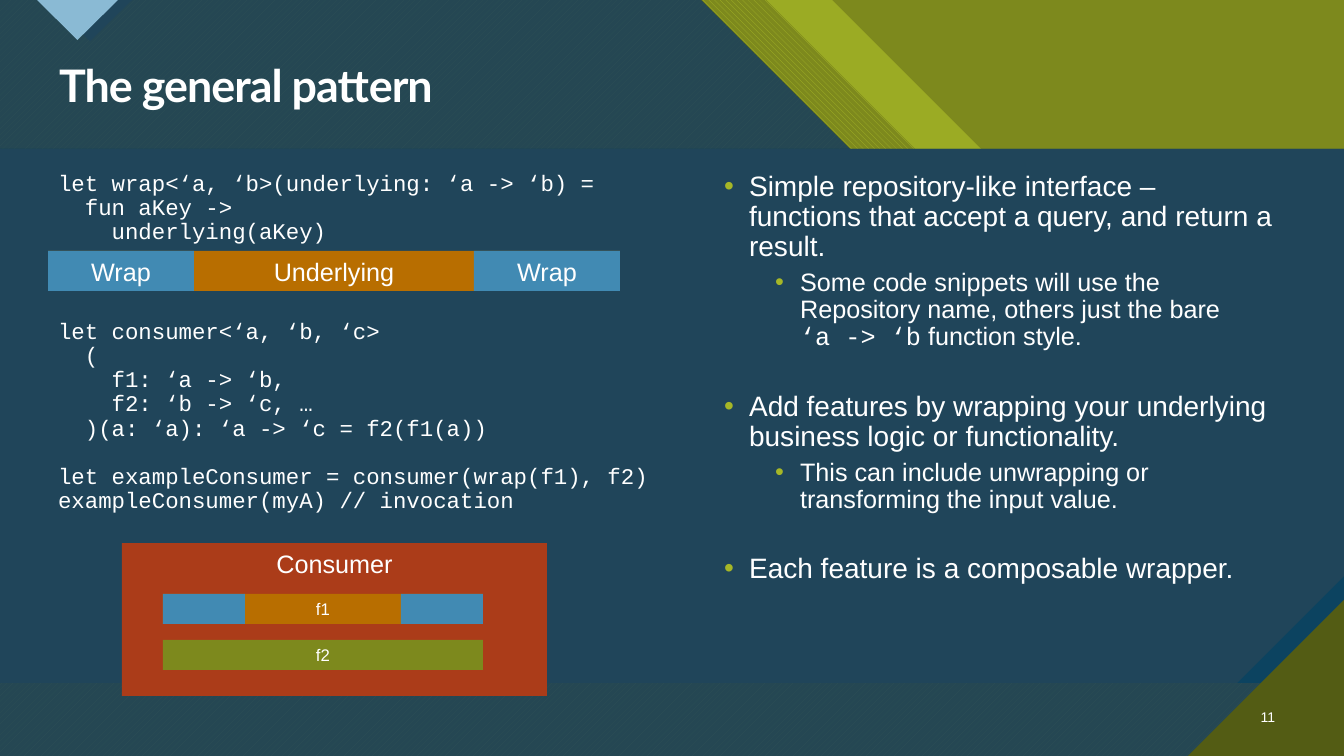
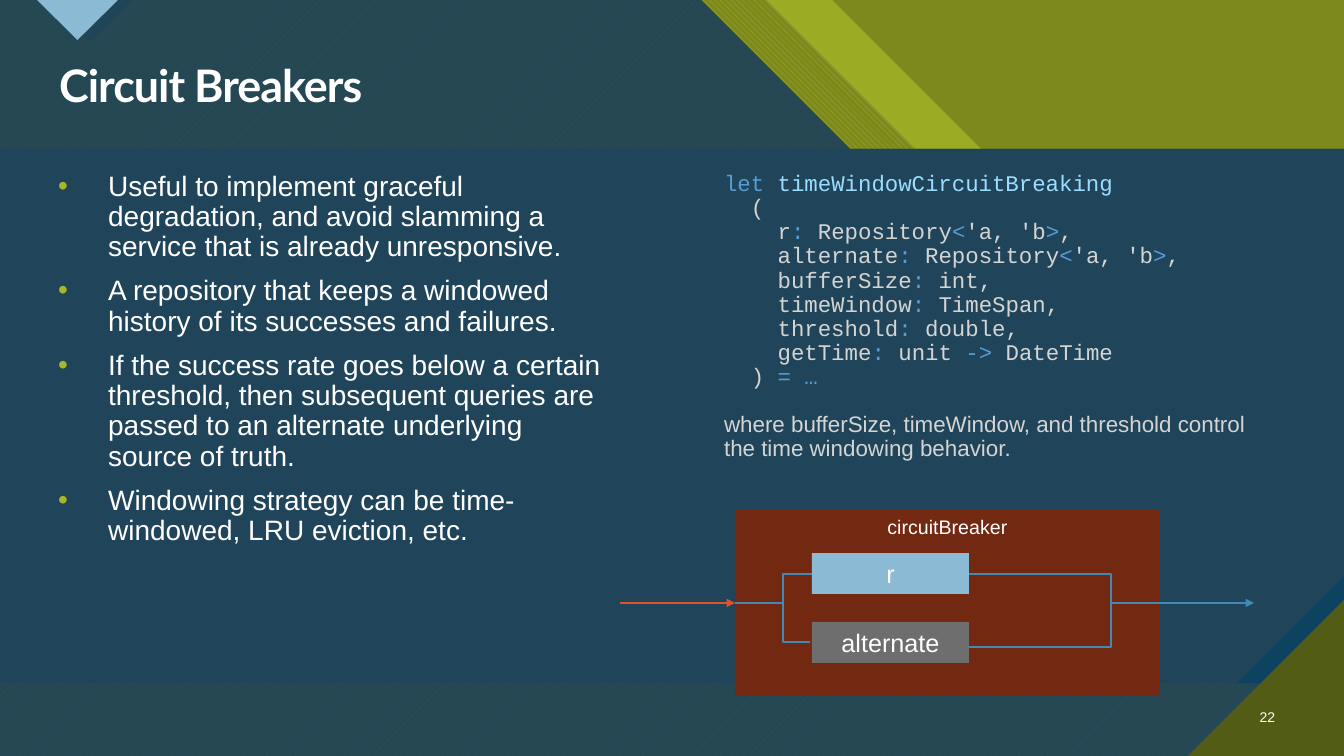
import dataclasses

import lxml.etree
import pptx
import pptx.dml.color
import pptx.enum.dml
import pptx.enum.shapes
import pptx.enum.text
import pptx.oxml.ns
import pptx.util

WIDTH, HEIGHT = 1344, 756
EMU_PER_PX = 914400 / 100.8

SHAPE = pptx.enum.shapes.MSO_SHAPE
CONNECTOR = pptx.enum.shapes.MSO_CONNECTOR
PATTERN = pptx.enum.dml.MSO_PATTERN
ALIGN = pptx.enum.text.PP_ALIGN
ANCHOR = pptx.enum.text.MSO_ANCHOR
qn = pptx.oxml.ns.qn


@dataclasses.dataclass(frozen=True)
class Theme:
    navy: str = "20455A"
    deep_blue: str = "0C4360"
    blue: str = "418AB3"
    sky: str = "8ABAD4"
    lime: str = "A6B727"
    olive: str = "7D891D"
    dark_olive: str = "535C14"
    amber: str = "B86E00"
    rust: str = "AB3C19"
    dark_rust: str = "722811"
    orange: str = "DF5327"
    gray: str = "6E6E6E"
    white: str = "FFFFFF"
    code_plain: str = "D4D4D4"
    code_symbol: str = "569CD6"
    code_name: str = "9CDCFE"
    title_font: str = "Lato"
    body_font: str = "Arial"
    code_font: str = "Courier New"
    title_size: int = 32
    body_size: int = 20
    sub_size: int = 18
    code_size: int = 16
    label_size: int = 14
    small_size: int = 12
    number_size: int = 10


T = Theme()


def px(n):
    return pptx.util.Emu(round(n * EMU_PER_PX))


def rgb(color):
    return pptx.dml.color.RGBColor.from_string(color)


def add_xml(parent, tag, **attrs):
    return lxml.etree.SubElement(parent, qn(tag), attrs)


# Text

def style(font, size, color=T.white, name=T.body_font, bold=False):
    font.size = pptx.util.Pt(size)
    font.name = name
    font.bold = bold
    font.color.rgb = rgb(color)


def add_run(p, text, color=None, name=None):
    for i, line in enumerate(text.split("\n")):
        if i:
            p.add_line_break()
        if line:
            r = p.add_run()
            r.text = line
            if color:
                r.font.color.rgb = rgb(color)
            if name:
                r.font.name = name


def place(sp, x, y, w, h):
    sp.left, sp.top, sp.width, sp.height = px(x), px(y), px(w), px(h)
    sp.text_frame.auto_size = pptx.enum.text.MSO_AUTO_SIZE.NONE
    sp.text_frame.vertical_anchor = ANCHOR.TOP


def add_paragraph(tf, runs, size, before=10, level=0, indent=0, hang=0,
                  color=T.white, name=T.body_font):
    """Runs are (text, color, font name) tuples; a hang gives a bullet."""
    p = tf.paragraphs[0] if not tf.text else tf.add_paragraph()
    p.level = level
    pPr = p._p.get_or_add_pPr()
    pPr.set("marL", str(px(indent)))
    pPr.set("indent", str(px(-hang)))
    if hang:
        add_xml(add_xml(pPr, "a:buClr"), "a:srgbClr", val=T.lime)
        add_xml(pPr, "a:buFont", typeface=T.body_font)
        add_xml(pPr, "a:buChar", char="•")
    else:
        add_xml(pPr, "a:buNone")
    p.line_spacing = 0.9
    p.space_before = pptx.util.Pt(before)
    style(p.font, size, color, name)
    for run in runs:
        add_run(p, *run)


def add_code(tf, text, before=10):
    add_paragraph(tf, [(text,)], T.code_size, before, name=T.code_font)


def add_bullet(tf, text, before=10, hang=25):
    add_paragraph(tf, [(text,)], T.body_size, before, indent=hang, hang=hang)


def add_sub_bullet(tf, *runs):
    add_paragraph(tf, runs, T.sub_size, 5, level=1, indent=76, hang=25)


# Shapes

def paint(sp, color, alpha=None):
    sp.shadow.inherit = False
    sp.line.fill.background()
    sp.fill.solid()
    sp.fill.fore_color.rgb = rgb(color)
    if alpha:
        clr = sp.element.spPr.find(qn("a:solidFill"))[0]
        add_xml(clr, "a:alpha", val=str(alpha * 1000))


def add_box(slide, x, y, w, h, color, text="", size=T.sub_size,
            kind=SHAPE.RECTANGLE, flip=None):
    sp = slide.shapes.add_shape(kind, px(x), px(y), px(w), px(h))
    paint(sp, color)
    if flip:
        sp.element.spPr.find(qn("a:xfrm")).set(flip, "1")
    if text:
        tf = sp.text_frame
        tf.word_wrap = True
        tf.vertical_anchor = ANCHOR.TOP
        p = tf.paragraphs[0]
        p.text = text
        p.alignment = ALIGN.CENTER
        style(p.font, size)
    return sp


def add_wrapped_bar(slide, x, y, w, h, cap, text, cap_text="", size=T.sub_size):
    add_box(slide, x, y, w, h, T.amber, text, size)
    for cap_x in (x, x + w - cap):
        add_box(slide, cap_x, y, cap, h, T.blue, cap_text, size)


def add_wire(slide, start, end, via=None, color=T.blue, arrow=False):
    """A straight line, or an elbow whose upright stands at x = via."""
    kind = CONNECTOR.ELBOW if via else CONNECTOR.STRAIGHT
    cx = slide.shapes.add_connector(kind, *map(px, start + end))
    cx.line.color.rgb = rgb(color)
    cx.line.width = pptx.util.Pt(1.5)
    spPr = cx.element.spPr
    if via:
        share = (via - start[0]) / (end[0] - start[0])
        guides = spPr.find(qn("a:prstGeom")).find(qn("a:avLst"))
        add_xml(guides, "a:gd", name="adj1", fmla=f"val {round(share * 100000)}")
    if arrow:
        add_xml(spPr.find(qn("a:ln")), "a:tailEnd", type="triangle")
    add_xml(spPr, "a:effectLst")


# Shared layout

def add_slant(slide, edge, color, alpha=None, pattern=None, back=None):
    """Fill everything left of a 45 degree line that starts at x = edge."""
    fb = slide.shapes.build_freeform(0, 0, scale=EMU_PER_PX)
    fb.add_line_segments([(edge, 0), (WIDTH, WIDTH - edge),
                          (WIDTH, HEIGHT), (0, HEIGHT)])
    sp = fb.convert_to_shape()
    paint(sp, color, alpha)
    if pattern:
        sp.fill.patterned()
        sp.fill.pattern = pattern
        sp.fill.fore_color.rgb = rgb(color)
        sp.fill.back_color.rgb = rgb(back)


def decorate_layout(layout, slide):
    """Draw the backdrop on the slide, then move it behind the layout."""
    layout.background.fill.solid()
    layout.background.fill.fore_color.rgb = rgb(T.olive)
    for ph in list(layout.placeholders):
        if ph.placeholder_format.idx >= 10:
            ph.element.getparent().remove(ph.element)
    first = len(slide.shapes)

    # Slanted header
    add_slant(slide, 832, T.lime, alpha=74)
    add_slant(slide, 766, T.lime, pattern=PATTERN.WIDE_DOWNWARD_DIAGONAL,
              back=T.olive)
    add_slant(slide, 701, T.lime, pattern=PATTERN.WIDE_UPWARD_DIAGONAL,
              back=T.dark_olive)
    add_slant(slide, 701, T.navy, alpha=90)
    add_box(slide, 48, 0, 84, 41, T.navy, kind=SHAPE.FLOWCHART_MERGE)
    add_box(slide, 37, 0, 81, 40, T.sky, kind=SHAPE.FLOWCHART_MERGE)

    # Content band and corner
    add_box(slide, 0, 149, WIDTH, 534, T.deep_blue)
    band = add_box(slide, 0, 149, WIDTH, 534, T.navy,
                   kind=SHAPE.SNIP_1_RECTANGLE, flip="flipV")
    band.adjustments[0] = 0.2
    add_box(slide, WIDTH - 156, HEIGHT - 156, 156, 156, T.dark_olive,
            kind=SHAPE.RIGHT_TRIANGLE, flip="flipH")

    for i, sp in enumerate(list(slide.shapes)[first:]):
        layout.shapes.element.insert(2 + i, sp.element)


def fill_frame(slide, title, number, left_width=572):
    """Set title and number; return the left and right text frames."""
    heading, left, right = slide.placeholders
    place(heading, 49, 59, 1236, 60)
    p = heading.text_frame.paragraphs[0]
    p.text = title
    p.alignment = ALIGN.LEFT
    p.line_spacing = 0.9
    style(p.font, T.title_size, name=T.title_font, bold=True)
    p.runs[0]._r.get_or_add_rPr().set("spc", "-70")

    place(left, 48, 167, left_width, 514)
    place(right, 714, 167, 572, 514)

    tb = slide.shapes.add_textbox(px(1241), px(697), px(44), px(40))
    tb.text_frame.word_wrap = True
    tb.text_frame.vertical_anchor = ANCHOR.MIDDLE
    p = tb.text_frame.paragraphs[0]
    p.text = number
    p.alignment = ALIGN.RIGHT
    style(p.font, T.number_size)
    return left.text_frame, right.text_frame


# Slides

def build_pattern_slide(slide):
    code, notes = fill_frame(slide, "The general pattern", "11", left_width=656)

    add_code(code, "let wrap<‘a, ‘b>(underlying: ‘a -> ‘b) =\n"
                   "  fun aKey ->\n"
                   "    underlying(aKey)")
    add_code(code, "let consumer<‘a, ‘b, ‘c>\n"
                   "  (\n"
                   "    f1: ‘a -> ‘b,\n"
                   "    f2: ‘b -> ‘c, …\n"
                   "  )(a: ‘a): ‘a -> ‘c = f2(f1(a))", before=54)
    add_code(code, "let exampleConsumer = consumer(wrap(f1), f2)\n"
                   "exampleConsumer(myA) // invocation", before=17)

    add_bullet(notes, "Simple repository-like interface – functions that "
                      "accept a query, and return a result.")
    add_sub_bullet(notes, ("Some code snippets will use the Repository name, "
                           "others just the bare\n",),
                   ("‘a -> ‘b", None, T.code_font), (" function style.",))
    add_bullet(notes, "Add features by wrapping your underlying business "
                      "logic or functionality.", before=29)
    add_sub_bullet(notes, ("This can include unwrapping or transforming "
                           "the input value.",))
    add_bullet(notes, "Each feature is a composable wrapper.", before=29)

    add_wrapped_bar(slide, 48, 251, 572, 40, 146, "Underlying", "Wrap")
    add_box(slide, 122, 543, 425, 153, T.rust, "Consumer")
    add_wrapped_bar(slide, 163, 594, 320, 30, 82, "f1", size=T.small_size)
    add_box(slide, 163, 640, 320, 30, T.olive, "f2", T.small_size)


def build_breaker_slide(slide):
    notes, code = fill_frame(slide, "Circuit Breakers", "22")

    for text in (
        "Useful to implement graceful degradation, and avoid slamming "
        "a service that is already unresponsive.",
        "A repository that keeps a windowed history of its successes "
        "and failures.",
        "If the success rate goes below a certain threshold, then subsequent "
        "queries are passed to an alternate underlying source of truth.",
        "Windowing strategy can be time-windowed, LRU eviction, etc.",
    ):
        add_bullet(notes, text, hang=50)

    # Bars set off the symbols, which take their own colour
    signature = ("  (\n"
                 "    r|:| Repository|<|'a, 'b|>|,\n"
                 "    alternate|:| Repository|<|'a, 'b|>|,\n"
                 "    bufferSize|:| int,\n"
                 "    timeWindow|:| TimeSpan,\n"
                 "    threshold|:| double,\n"
                 "    getTime|:| unit |->| DateTime\n"
                 "  ) |= …")
    runs = [("let ", T.code_symbol), ("timeWindowCircuitBreaking\n", T.code_name)]
    runs += [(part, T.code_symbol if i % 2 else T.code_plain)
             for i, part in enumerate(signature.split("|"))]
    add_paragraph(code, runs, T.code_size, name=T.code_font)
    add_paragraph(code, [("where bufferSize, timeWindow, and threshold control "
                          "the time windowing behavior.",)],
                  T.code_size, before=17, color=T.code_plain)

    # Diagram
    add_box(slide, 735, 510, 425, 186, T.dark_rust, "circuitBreaker", T.label_size)
    add_box(slide, 812, 553, 157, 41, T.sky, "r")
    add_box(slide, 812, 622, 157, 41, T.gray, "alternate")
    add_wire(slide, (620, 603), (735, 603), color=T.orange, arrow=True)
    add_wire(slide, (969, 647), (1254, 603), via=1111, arrow=True)
    add_wire(slide, (969, 574), (1111, 603), via=1111)
    add_wire(slide, (735, 603), (812, 574), via=783)
    add_wire(slide, (735, 603), (810, 642), via=783)


def main():
    prs = pptx.Presentation()
    prs.slide_width, prs.slide_height = px(WIDTH), px(HEIGHT)
    layout = prs.slide_layouts.get_by_name("Two Content")
    slides = [prs.slides.add_slide(layout) for _ in range(2)]
    decorate_layout(layout, slides[0])
    build_pattern_slide(slides[0])
    build_breaker_slide(slides[1])
    prs.save("out.pptx")


if __name__ == "__main__":
    main()
